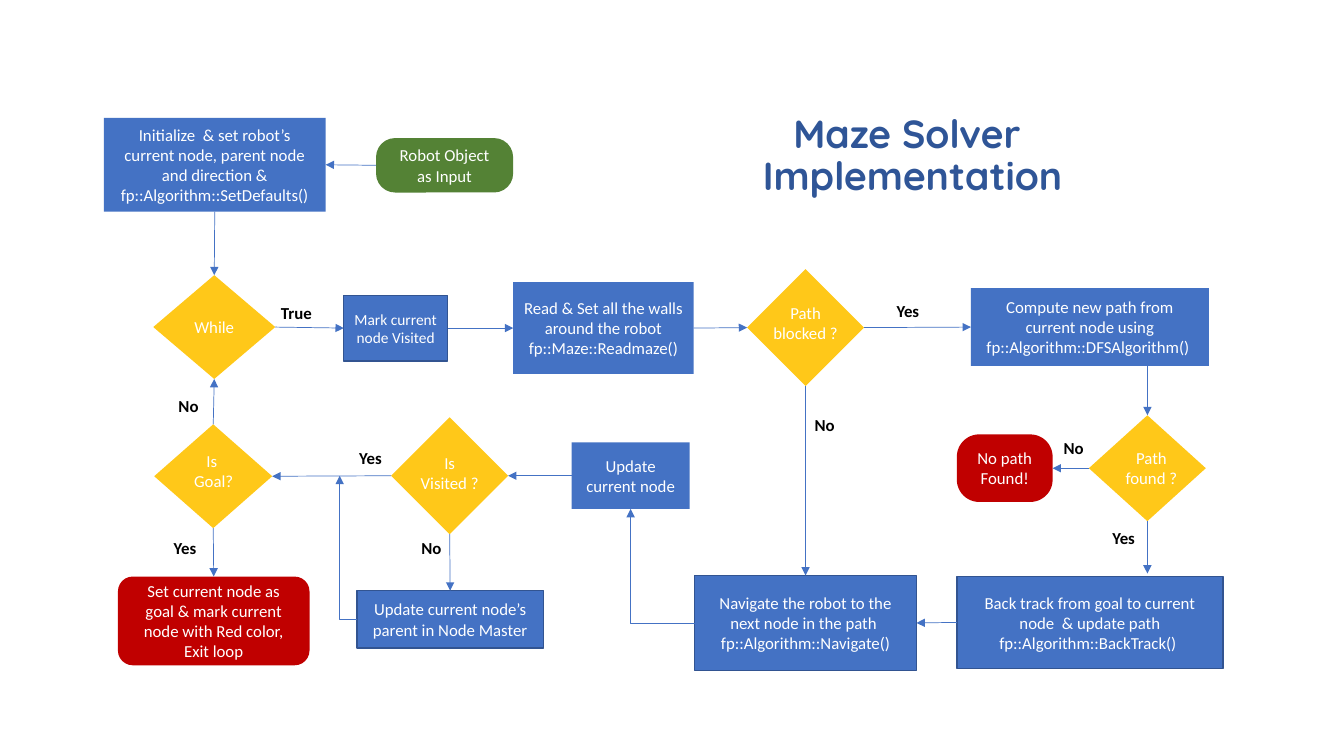
from lxml import etree
from pptx import Presentation
from pptx.dml.color import RGBColor
from pptx.enum.shapes import MSO_CONNECTOR, MSO_SHAPE
from pptx.enum.text import MSO_ANCHOR, MSO_AUTO_SIZE, PP_ALIGN
from pptx.oxml.ns import qn
from pptx.util import Inches, Pt

RECT = MSO_SHAPE.RECTANGLE
ROUND = MSO_SHAPE.ROUNDED_RECTANGLE
DIAMOND = MSO_SHAPE.DIAMOND
STRAIGHT, ELBOW = MSO_CONNECTOR.STRAIGHT, MSO_CONNECTOR.ELBOW
MIDDLE, TOP_ANCHOR = MSO_ANCHOR.MIDDLE, MSO_ANCHOR.TOP
CENTER, NO_FIT = PP_ALIGN.CENTER, MSO_AUTO_SIZE.NONE
TOP, LEFT, BOTTOM, RIGHT = range(4)

BLUE = RGBColor(0x44, 0x72, 0xC4)
NAVY = RGBColor(0x32, 0x54, 0x91)
TITLE = RGBColor(0x2F, 0x55, 0x97)
GREEN = RGBColor(0x54, 0x82, 0x35)
GOLD = RGBColor(0xFF, 0xC8, 0x19)
RED = RGBColor(0xC0, 0x00, 0x00)
WHITE = RGBColor(0xFF, 0xFF, 0xFF)
BLACK = RGBColor(0x00, 0x00, 0x00)

# name: kind, box, fill, edge, size, text
NODES = {
    "input": (ROUND, (3.73, 1.37, 1.36, 0.54), GREEN, None, 12, "Robot Object as Input"),
    "init": (RECT, (1.03, 1.17, 2.2, 0.93), BLUE, None, 12,
             "Initialize  & set robot’s current node, parent node and direction &\n"
             "fp::Algorithm::SetDefaults()"),
    "while": (DIAMOND, (1.52, 2.73, 1.21, 1.03), GOLD, None, 12, "While"),
    "mark": (RECT, (3.41, 2.93, 1.03, 0.65), BLUE, NAVY, 11, "Mark current node Visited"),
    "read": (RECT, (5.09, 2.8, 1.79, 0.91), BLUE, None, 12,
             "Read & Set all the walls around the robot\nfp::Maze::Readmaze()"),
    "blocked": (DIAMOND, (7.41, 2.67, 1.16, 1.16), GOLD, None, 12, ""),
    "compute": (RECT, (9.63, 2.86, 2.36, 0.77), BLUE, None, 12,
                "Compute new path from current node using\n"
                "fp::Algorithm::DFSAlgorithm() "),
    "found": (DIAMOND, (10.8, 4.12, 1.16, 1.05), GOLD, None, 12, ""),
    "nopath": (ROUND, (9.49, 4.31, 0.95, 0.67), RED, None, 12, "No path Found!"),
    "back": (RECT, (9.49, 5.72, 2.64, 0.91), BLUE, NAVY, 12,
             "Back track from goal to current node  & update path\n"
             "fp::Algorithm::BackTrack() "),
    "move": (RECT, (6.89, 5.71, 2.2, 0.94), BLUE, NAVY, 12,
             "Navigate the robot to the next node in the path \n"
             "fp::Algorithm::Navigate()"),
    "update": (RECT, (5.67, 4.39, 1.17, 0.66), BLUE, None, 12, "Update current node"),
    "visited": (DIAMOND, (3.88, 4.14, 1.16, 1.16), GOLD, None, 12, ""),
    "parent": (RECT, (3.54, 5.86, 1.85, 0.57), BLUE, NAVY, 12,
               "Update current node’s parent in Node Master"),
    "goal": (DIAMOND, (1.53, 4.21, 1.17, 1.03), GOLD, None, 12, ""),
    "exit": (ROUND, (1.17, 5.72, 1.9, 0.88), RED, None, 12,
             "Set current node as goal & mark current node with Red color, Exit loop"),
}
CORNERS = {"input": 0.35, "nopath": 0.33}

TESTS = [
    ("Path blocked ?", (7.57, 2.95, 0.84, 0.71)),
    ("Path found ?", (11, 4.39, 0.84, 0.5)),
    ("Is\nVisited ?", (4.04, 4.44, 0.84, 0.5)),
    ("Is \nGoal?", (1.7, 4.42, 0.84, 0.5)),
]
LABELS = [
    ("True", 2.67, 2.95), ("Yes", 1.55, 5.29), ("No", 1.6, 3.88),
    ("Yes", 10.86, 5.19), ("No", 10.38, 4.29), ("Yes", 8.72, 2.93),
    ("No", 7.91, 4.07), ("Yes", 3.39, 4.39), ("No", 4.01, 5.29),
]
LINKS = [
    (STRAIGHT, ("input", LEFT), ("init", RIGHT)),
    (STRAIGHT, ("init", BOTTOM), ("while", TOP)),
    (STRAIGHT, ("while", RIGHT), ("mark", LEFT)),
    (STRAIGHT, ("mark", RIGHT), ("read", LEFT)),
    (STRAIGHT, ("read", RIGHT), ("blocked", LEFT)),
    (STRAIGHT, ("blocked", RIGHT), ("compute", LEFT)),
    (STRAIGHT, ("blocked", BOTTOM), ("move", TOP)),
    (STRAIGHT, (11.38, 3.63), ("found", TOP)),
    (STRAIGHT, ("found", LEFT), ("nopath", RIGHT)),
    (STRAIGHT, ("found", BOTTOM), (11.38, 5.69)),
    (STRAIGHT, ("back", LEFT), ("move", RIGHT)),
    (ELBOW, ("move", LEFT), ("update", BOTTOM)),
    (STRAIGHT, ("update", LEFT), ("visited", RIGHT)),
    (STRAIGHT, ("visited", LEFT), ("goal", RIGHT)),
    (STRAIGHT, ("visited", BOTTOM), ("parent", TOP)),
    (ELBOW, ("parent", LEFT), (3.37, 4.72)),
    (STRAIGHT, ("goal", TOP), ("while", BOTTOM)),
    (STRAIGHT, ("goal", BOTTOM), ("exit", TOP)),
]


def write(shape, text, size, color, bold=False, anchor=MIDDLE, face="Calibri"):
    frame = shape.text_frame
    frame.text = text
    frame.word_wrap = True
    frame.auto_size = NO_FIT
    frame.vertical_anchor = anchor
    for para in frame.paragraphs:
        para.alignment = CENTER
        for run in para.runs:
            run.font.name = face
            run.font.size = Pt(size)
            run.font.bold = bold
            run.font.color.rgb = color


def add_node(shapes, kind, box, fill, edge, size, text):
    node = shapes.add_shape(kind, *map(Inches, box))
    node.shadow.inherit = False
    node.fill.solid()
    node.fill.fore_color.rgb = fill
    if edge:
        node.line.color.rgb = edge
        node.line.width = Pt(1)
    else:
        node.line.fill.background()
    if text:
        write(node, text, size, WHITE)
    return node


def add_link(shapes, nodes, kind, start, end):
    def point(spot):
        if isinstance(spot[0], str):
            node, side = nodes[spot[0]], spot[1]
            across = {LEFT: 0, RIGHT: 2}.get(side, 1)
            down = {TOP: 0, BOTTOM: 2}.get(side, 1)
            return node.left + node.width * across // 2, node.top + node.height * down // 2
        return tuple(map(Inches, spot))

    link = shapes.add_connector(kind, *point(start), *point(end))
    for spot, join in ((start, link.begin_connect), (end, link.end_connect)):
        if isinstance(spot[0], str):
            join(nodes[spot[0]], spot[1])
    link.line.color.rgb = BLUE
    link.line.width = Pt(0.5)
    props = link._element.spPr
    if kind == ELBOW:
        props.find(qn("a:prstGeom")).set("prst", "bentConnector2")
    etree.SubElement(props.find(qn("a:ln")), qn("a:tailEnd"), type="triangle")
    etree.SubElement(props, qn("a:effectLst"))


def main():
    deck = Presentation()
    deck.slide_width, deck.slide_height = Inches(13.33), Inches(7.5)
    slide = deck.slides.add_slide(deck.slide_layouts[5])
    shapes = slide.shapes
    title = shapes.title
    title.left, title.top, title.width, title.height = map(Inches, (6.63, 1.02, 4.84, 1.07))
    write(title, "Maze Solver \vImplementation", 28, TITLE, True, face="Quicksand")
    title.text_frame.paragraphs[0].line_spacing = 0.9

    nodes = {name: add_node(shapes, *spec_row) for name, spec_row in NODES.items()}
    for name, corner in CORNERS.items():
        nodes[name].adjustments[0] = corner
    for link in LINKS:
        add_link(shapes, nodes, *link)
    for text, box in TESTS:
        write(shapes.add_textbox(*map(Inches, box)), text, 12, WHITE, anchor=TOP_ANCHOR)
    for text, left, top in LABELS:
        wide = 0.57 if text == "Yes" else 0.54
        box = shapes.add_textbox(*map(Inches, (left, top, wide, 0.3)))
        write(box, text, 12, BLACK, True, TOP_ANCHOR)
    deck.save("out.pptx")


if __name__ == "__main__":
    main()
